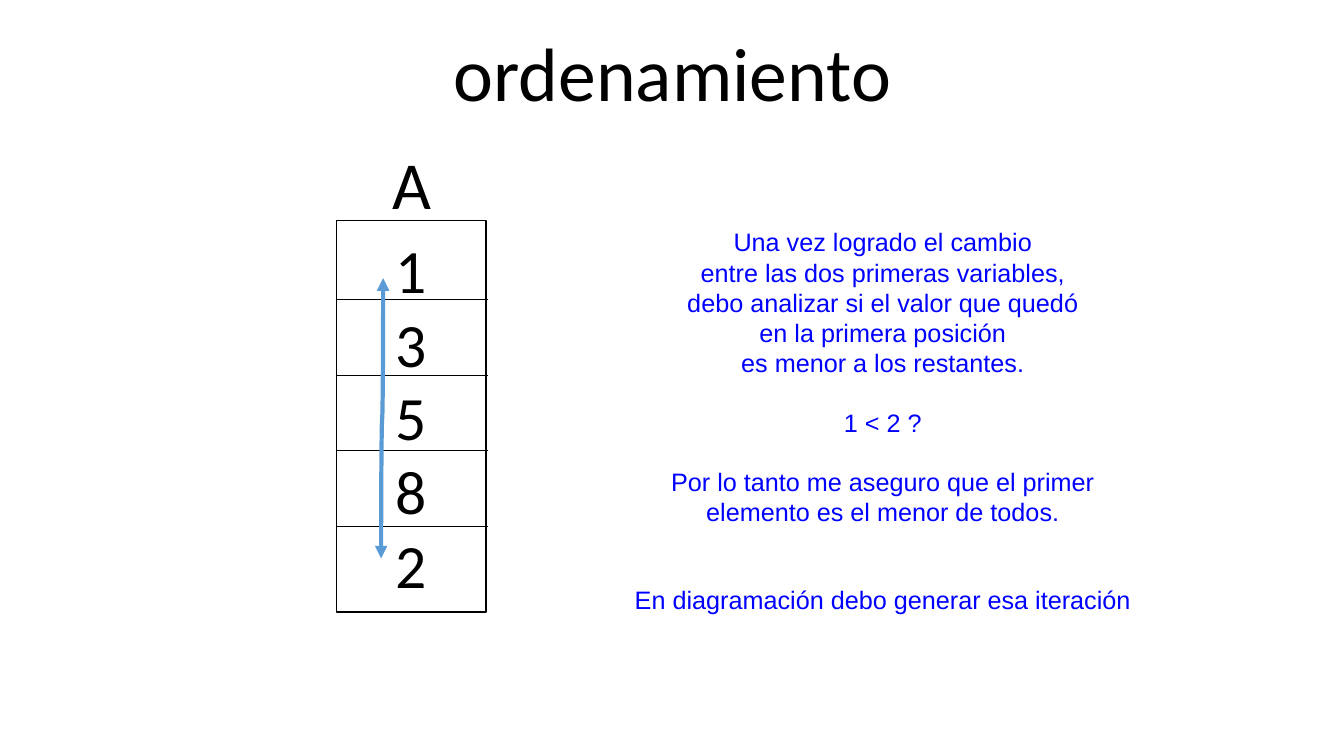
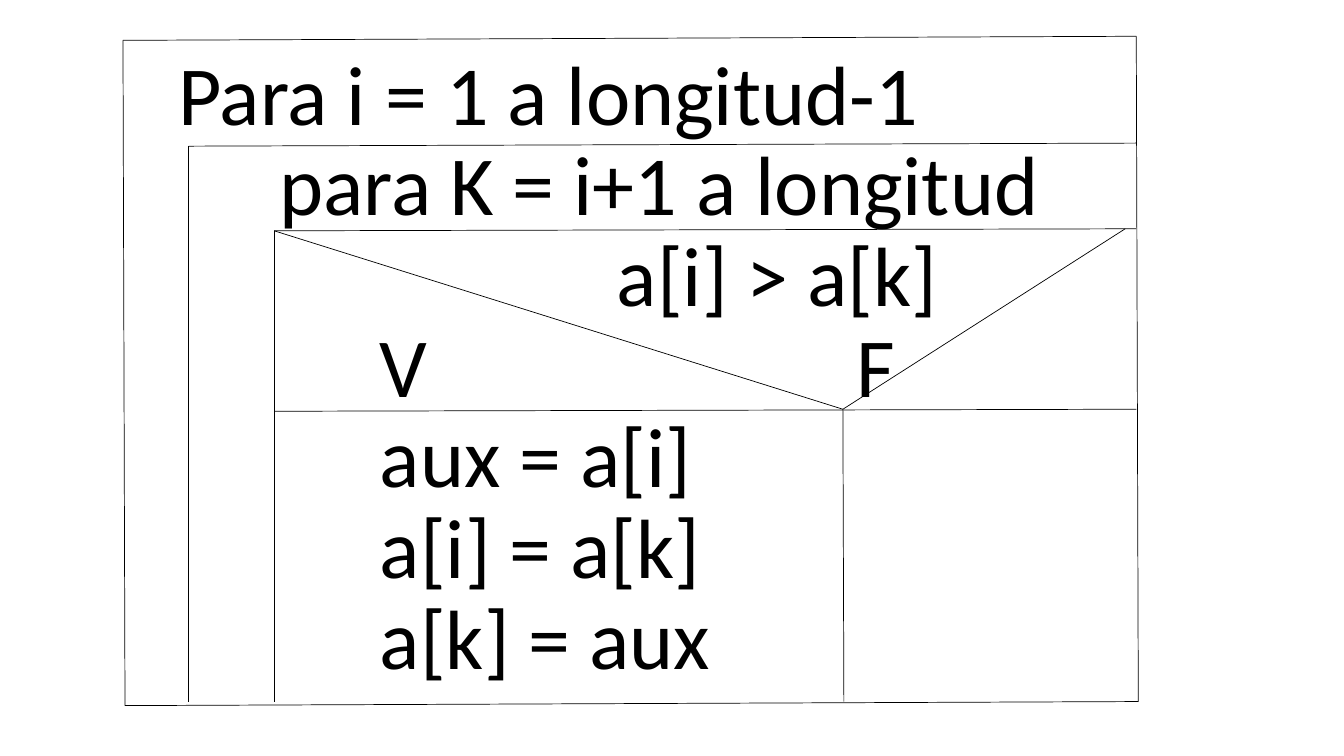
from lxml import etree
from pptx import Presentation
from pptx.dml.color import RGBColor
from pptx.enum.shapes import MSO_CONNECTOR, MSO_SHAPE
from pptx.enum.text import MSO_ANCHOR, PP_ALIGN
from pptx.oxml.ns import qn
from pptx.util import Inches, Pt

STRAIGHT, CURVE = MSO_CONNECTOR.STRAIGHT, MSO_CONNECTOR.CURVE
LEFT, CENTER = PP_ALIGN.LEFT, PP_ALIGN.CENTER
TOP, MIDDLE, BOTTOM = MSO_ANCHOR.TOP, MSO_ANCHOR.MIDDLE, MSO_ANCHOR.BOTTOM

BLACK, BLUE, ARROW_BLUE = "000000", "0000FF", "5B9BD5"
BODY_FONT, NOTE_FONT = "Calibri", "Arial"
THIN = 0.5
TITLE_LEFT, TITLE_TOP, TITLE_WIDTH = 1.67, 0.24, 10
TITLE_SPACING = 0.9

TITLE = "ordenamiento"
ARRAY_NAME = "A"
ARRAY_VALUES = ["1", "3", "5", "8", "2"]
ARRAY_BOX = (3.34, 2.19, 1.48, 3.88)
FIRST_DIVIDER, ROW_HEIGHT, DIVIDER_WIDTH = 2.97, 0.75, 1.5

# Each note line: empty lines of space above it, text
NOTE_LINE_HEIGHT = 20.7
NOTE = [
    (0, "Una vez logrado el cambio"),
    (0, "entre las dos primeras variables,"),
    (0, "debo analizar si el valor que quedó"),
    (0, "en la primera posición"),
    (0, "es menor a los restantes."),
    (1, "1 < 2 ?"),
    (1, "Por lo tanto me aseguro que el primer elemento es el menor de todos."),
    (2, "En diagramación debo generar esa iteración"),
]

# Each code line: pieces with their tab position in inches
CODE = [
    [(0, "Para i = 1 a longitud-1")],
    [(1, "para K = i+1 a longitud")],
    [(4.35, "a[i] > a[k]")],
    [(2, "V"), (6.73, "F")],
    [(2, "aux = a[i]")],
    [(2, "a[i] = a[k]")],
    [(2, "a[k] = aux")],
]

# Corners of the structure diagram
OUTER_TOP_LEFT, OUTER_TOP_RIGHT = (1.22, 0.4), (11.27, 0.36)
OUTER_BOTTOM_LEFT, OUTER_BOTTOM_RIGHT = (1.24, 7), (11.29, 6.96)
LOOP_CORNER, CONDITION_CORNER = (1.87, 1.45), (2.72, 2.29)
CONDITION_MEETING = (8.36, 4.06)
DIAGRAM_RIGHT, DIAGRAM_BOTTOM = 11.27, 6.96
DIAGRAM_LINES = [
    (OUTER_TOP_LEFT, OUTER_TOP_RIGHT),
    (OUTER_BOTTOM_LEFT, OUTER_BOTTOM_RIGHT),
    (OUTER_TOP_LEFT, OUTER_BOTTOM_LEFT),
    (OUTER_TOP_RIGHT, OUTER_BOTTOM_RIGHT),
    (LOOP_CORNER, (DIAGRAM_RIGHT, 1.42)),
    (LOOP_CORNER, (LOOP_CORNER[0], DIAGRAM_BOTTOM)),
    (CONDITION_CORNER, (DIAGRAM_RIGHT, 2.27)),
    (CONDITION_CORNER, (CONDITION_CORNER[0], DIAGRAM_BOTTOM)),
    (CONDITION_CORNER, CONDITION_MEETING),
    (CONDITION_MEETING, (11.16, 2.27)),
    ((CONDITION_CORNER[0], 4.08), (DIAGRAM_RIGHT, 4.06)),
    (CONDITION_MEETING, (8.37, DIAGRAM_BOTTOM)),
]


def rgb(color):
    return RGBColor.from_string(color)


def write(shape, lines, size, color=BLACK, font=BODY_FONT, align=LEFT,
          anchor=TOP, wrap=True, spacing=None):
    frame = shape.text_frame
    frame.text = "\n".join(lines)
    frame.word_wrap = wrap
    frame.vertical_anchor = anchor
    for paragraph in frame.paragraphs:
        paragraph.alignment = align
        if spacing:
            paragraph.line_spacing = spacing
        for run in paragraph.runs:
            run.font.size = Pt(size)
            run.font.name = font
            run.font.color.rgb = rgb(color)
    return frame.paragraphs


def add_text(slide, box, lines, size, **style):
    shape = slide.shapes.add_textbox(*map(Inches, box))
    return write(shape, lines, size, **style)


def add_title_text(slide, height, lines, size, align):
    box = (TITLE_LEFT, TITLE_TOP, TITLE_WIDTH, height)
    return add_text(slide, box, lines, size, align=align, anchor=BOTTOM,
                    spacing=TITLE_SPACING)


def add_line(slide, start, end, color=BLACK, width=THIN, kind=STRAIGHT):
    line = slide.shapes.add_connector(kind, *map(Inches, (*start, *end)))
    line.line.color.rgb = rgb(color)
    line.line.width = Pt(width)
    etree.SubElement(line._element.spPr, qn("a:effectLst"))
    return line


def add_swap_arrow(slide):
    """Curved arrow with two heads, turned a quarter to run downwards."""
    arrow = add_line(slide, (2.4, 4.14), (5.18, 4.16), ARROW_BLUE, 3, CURVE)
    arrow._element.spPr.find(qn("a:xfrm")).set("rot", "5400000")
    outline = arrow.line._get_or_add_ln()
    for end in ("a:headEnd", "a:tailEnd"):
        etree.SubElement(outline, qn(end), type="triangle")


def set_tab_stops(paragraph, positions):
    tabs = etree.SubElement(paragraph._p.get_or_add_pPr(), qn("a:tabLst"))
    for position in positions:
        etree.SubElement(tabs, qn("a:tab"), pos=str(Inches(position)), algn="l")


def build_array_slide(slide):
    add_title_text(slide, 0.98, [TITLE], 54, CENTER)

    array = slide.shapes.add_shape(MSO_SHAPE.RECTANGLE, *map(Inches, ARRAY_BOX))
    array.shadow.inherit = False
    array.fill.background()
    array.line.color.rgb = rgb(BLACK)
    array.line.width = Pt(1)
    write(array, ARRAY_VALUES, 44, align=CENTER, anchor=MIDDLE)

    left = ARRAY_BOX[0]
    for row in range(len(ARRAY_VALUES) - 1):
        y = FIRST_DIVIDER + row * ROW_HEIGHT
        add_line(slide, (left, y), (left + DIVIDER_WIDTH, y))
    add_text(slide, (3.79, 1.36, 0.59, 0.91), [ARRAY_NAME], 48, wrap=False)
    add_swap_arrow(slide)

    paragraphs = add_text(slide, (6.13, 2.2, 5.25, 4.01),
                          [text for _, text in NOTE], 18, color=BLUE,
                          font=NOTE_FONT, align=CENTER)
    for paragraph, (gap, _) in zip(paragraphs, NOTE):
        paragraph.space_before = Pt(gap * NOTE_LINE_HEIGHT)


def build_diagram_slide(slide):
    lines = ["".join("\t" * (position > 0) + text for position, text in pieces)
             for pieces in CODE]
    paragraphs = add_title_text(slide, 6.63, lines, 60, LEFT)
    for paragraph, pieces in zip(paragraphs, CODE):
        stops = [position for position, _ in pieces if position > 0]
        if stops:
            set_tab_stops(paragraph, stops)
    for start, end in DIAGRAM_LINES:
        add_line(slide, start, end)


def main():
    presentation = Presentation()
    presentation.slide_width = Inches(13.33)
    presentation.slide_height = Inches(7.5)
    blank = presentation.slide_layouts[6]
    for build in (build_array_slide, build_diagram_slide):
        build(presentation.slides.add_slide(blank))
    presentation.save("out.pptx")


if __name__ == "__main__":
    main()
